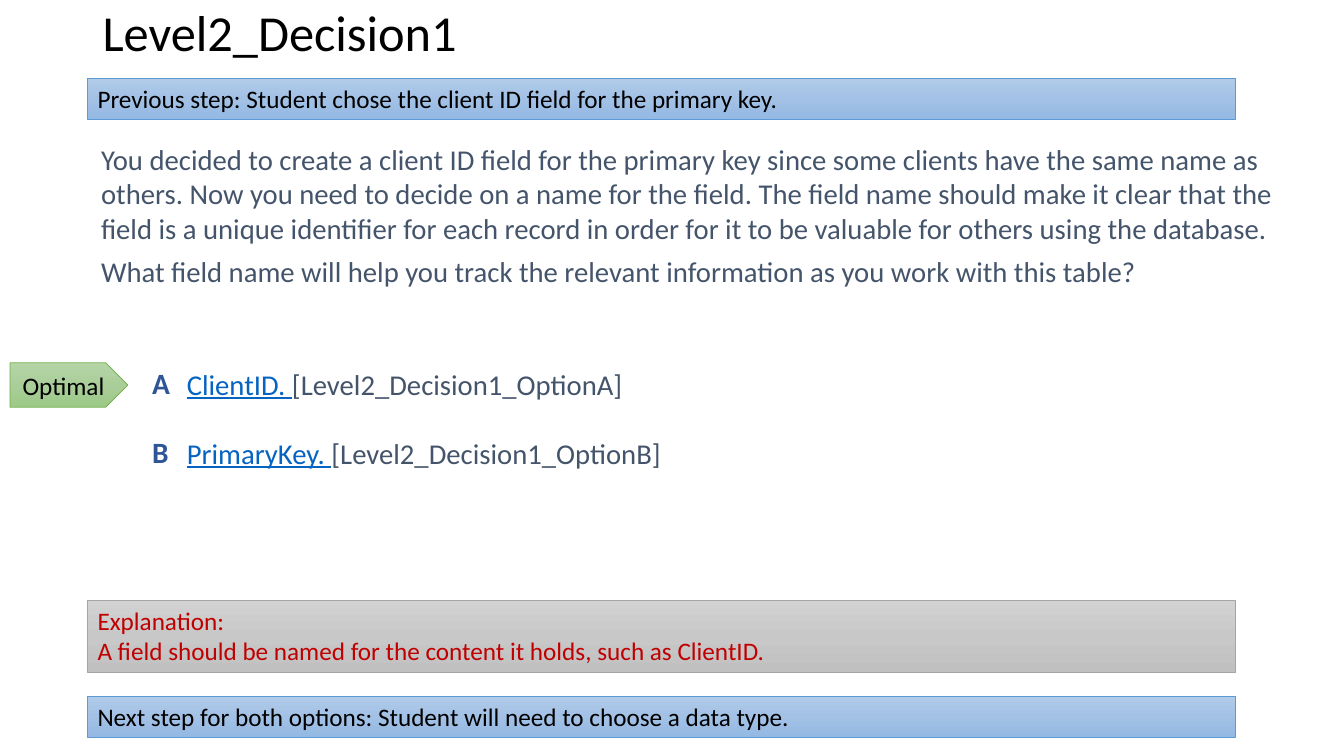
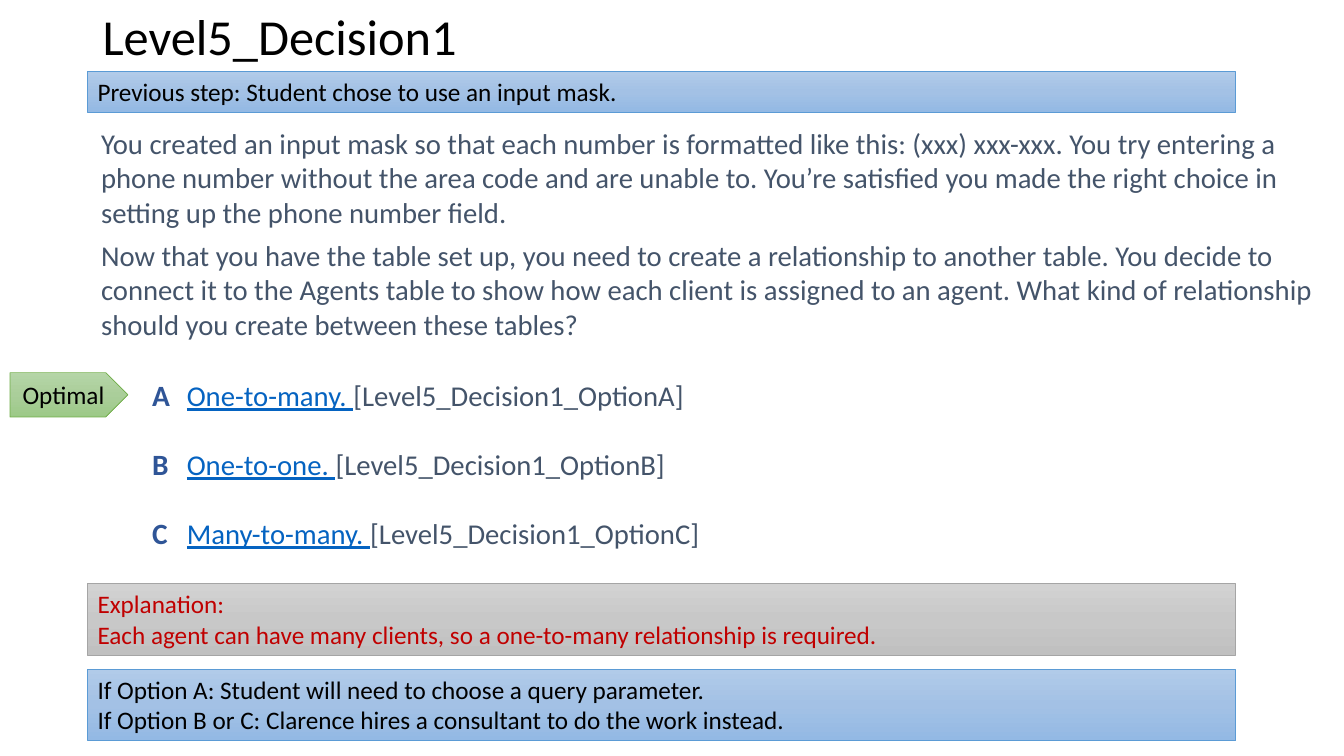
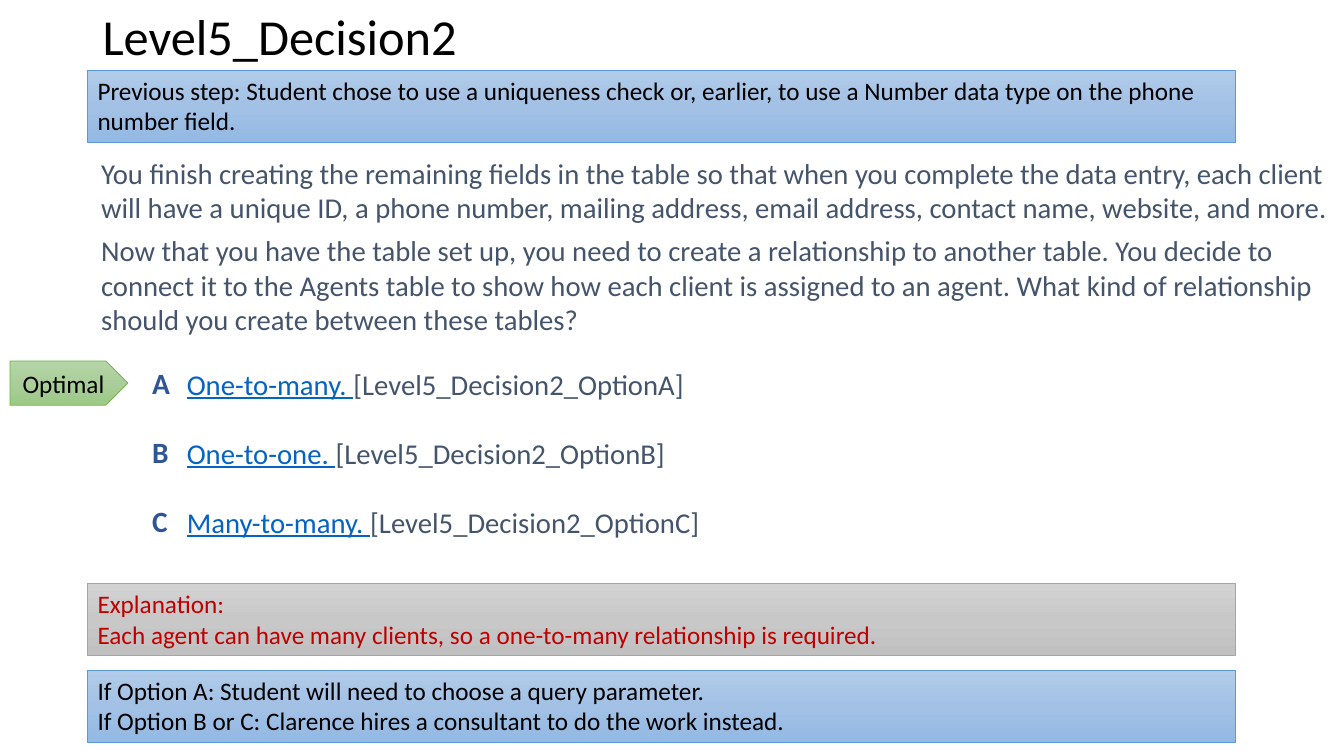
from copy import deepcopy

from pptx import Presentation
from pptx.dml.color import RGBColor
from pptx.enum.shapes import MSO_SHAPE as Shape
from pptx.enum.text import MSO_ANCHOR as Anchor, PP_ALIGN as Align
from pptx.util import Pt

# Content; "tops" holds the vertical positions that vary, in points
RELATIONSHIP_QUESTION = (
    "Now that you have the table set up, you need to create a relationship to another table. "
    "You decide to connect it to the Agents table to show how each client is assigned to an "
    "agent. What kind of relationship should you create between these tables?")
RELATIONSHIPS = ["One-to-many.", "One-to-one.", "Many-to-many."]
RELATIONSHIP_EXPLANATION = (
    "Each agent can have many clients, so a one-to-many relationship is required.")
RELATIONSHIP_NEXT = [
    "If Option A: Student will need to choose a query parameter.",
    "If Option B or C: Clarence hires a consultant to do the work instead."]

DECISIONS = [
    {"title": "Level2_Decision1",
     "previous": "Previous step: Student chose the client ID field for the primary key.",
     "previous_lines": 1,
     "story": [
         "You decided to create a client ID field for the primary key since some clients have "
         "the same name as others. Now you need to decide on a name for the field. The field "
         "name should make it clear that the field is a unique identifier for each record in "
         "order for it to be valuable for others using the database.",
         "What field name will help you track the relevant information as you work with this "
         "table?"],
     "options": ["ClientID.", "PrimaryKey."],
     "explanation": "A field should be named for the content it holds, such as ClientID.",
     "next": ["Next step for both options: Student will need to choose a data type."],
     "tops": {"title": 0, "previous": 56.2, "story": 96.5, "options": 257,
              "optimal": 259.2, "explanation": 429, "next": 497.5}},
    {"title": "Level5_Decision1",
     "previous": "Previous step: Student chose to use an input mask.",
     "previous_lines": 1,
     "story": [
         "You created an input mask so that each number is formatted like this: (xxx) xxx-xxx. "
         "You try entering a phone number without the area code and are unable to. You’re "
         "satisfied you made the right choice in setting up the phone number field.",
         RELATIONSHIP_QUESTION],
     "options": RELATIONSHIPS,
     "explanation": RELATIONSHIP_EXPLANATION,
     "next": RELATIONSHIP_NEXT,
     "tops": {"title": 3, "previous": 51.2, "story": 85, "options": 265.3,
              "optimal": 266.2, "explanation": 417, "next": 478}},
    {"title": "Level5_Decision2",
     "previous": "Previous step: Student chose to use a uniqueness check or, earlier, to use a "
                 "Number data type on the phone number field.",
     "previous_lines": 2,
     "story": [
         "You finish creating the remaining fields in the table so that when you complete the "
         "data entry, each client will have a unique ID, a phone number, mailing address, email "
         "address, contact name, website, and more.",
         RELATIONSHIP_QUESTION],
     "options": RELATIONSHIPS,
     "explanation": RELATIONSHIP_EXPLANATION,
     "next": RELATIONSHIP_NEXT,
     "tops": {"title": 3, "previous": 50.4, "story": 106.5, "options": 257,
              "optimal": 257.8, "explanation": 417, "next": 478.8}},
]

# Shared style
FONT = "Calibri"
BLACK = RGBColor(0x00, 0x00, 0x00)
SLATE = RGBColor(0x44, 0x54, 0x6A)
LINK_BLUE = RGBColor(0x05, 0x63, 0xC1)
LETTER_BLUE = RGBColor(0x2F, 0x55, 0x97)
RED = RGBColor(0xC0, 0x00, 0x00)
# Each palette: three gradient colours from top to bottom, then the outline
GRAY = [RGBColor(0xD2, 0xD2, 0xD2), RGBColor(0xC8, 0xC8, 0xC8),
        RGBColor(0xC0, 0xC0, 0xC0), RGBColor(0xA5, 0xA5, 0xA5)]
GREEN = [RGBColor(0xB5, 0xD5, 0xA7), RGBColor(0xAA, 0xCE, 0x9A),
         RGBColor(0x9C, 0xC9, 0x87), RGBColor(0x70, 0xAD, 0x47)]
BLUE = [RGBColor(0xB1, 0xCB, 0xE9), RGBColor(0xA3, 0xC1, 0xE5),
        RGBColor(0x93, 0xB9, 0xE4), RGBColor(0x5B, 0x9B, 0xD5)]

SLIDE_W, SLIDE_H = 960, 540
BAND_LEFT, BAND_W = 62.6, 820
BAND_LINE, BAND_PADDING = 22, 7.2
NARROW_INSETS = (7.2, 3.6)
WIDE_INSETS = (9.6, 4.8)
STORY_SIZE, BAND_SIZE, LETTER_SIZE, TITLE_SIZE = 20.5, 18, 21, 36
OPTION_PITCH = 49.3
OPTION_GAP = OPTION_PITCH / 2


def add_run(paragraph, text, size, color, bold=False, underline=False):
    run = paragraph.add_run()
    run.text = text
    font = run.font
    font.name, font.size, font.bold, font.underline = FONT, Pt(size), bold, underline
    font.color.rgb = color


def paragraphs(frame, count):
    """Return count paragraphs of a text frame, the first being the existing one."""
    return [frame.paragraphs[0]] + [frame.add_paragraph() for _ in range(count - 1)]


def set_frame(frame, insets, anchor=Anchor.TOP):
    frame.word_wrap = True
    frame.vertical_anchor = anchor
    frame.margin_left = frame.margin_right = Pt(insets[0])
    frame.margin_top = frame.margin_bottom = Pt(insets[1])
    return frame


def add_text(slide, left, top, width, height, insets=WIDE_INSETS, anchor=Anchor.TOP):
    box = slide.shapes.add_textbox(Pt(left), Pt(top), Pt(width), Pt(height))
    return set_frame(box.text_frame, insets, anchor)


def add_panel(slide, kind, left, top, width, height, palette, lines, color,
              anchor=Anchor.TOP, align=Align.LEFT):
    panel = slide.shapes.add_shape(kind, Pt(left), Pt(top), Pt(width), Pt(height))
    panel.shadow.inherit = False
    fill = panel.fill
    fill.gradient()
    fill.gradient_angle = 270
    # Add a middle stop to the two default ones
    first_stop = panel.element.spPr.xpath("a:gradFill/a:gsLst/a:gs")[0]
    middle_stop = deepcopy(first_stop)
    middle_stop.set("pos", "50000")
    first_stop.addnext(middle_stop)
    *gradient, outline = palette
    for stop, shade in zip(fill.gradient_stops, gradient):
        stop.color.rgb = shade
    panel.line.color.rgb = outline
    panel.line.width = Pt(0.5)

    frame = set_frame(panel.text_frame, NARROW_INSETS, anchor)
    for paragraph, line in zip(paragraphs(frame, len(lines)), lines):
        paragraph.alignment = align
        add_run(paragraph, line, BAND_SIZE, color)


def add_band(slide, top, palette, lines, color=BLACK, line_count=None):
    height = BAND_PADDING + BAND_LINE * (line_count or len(lines))
    add_panel(slide, Shape.RECTANGLE, BAND_LEFT, top, BAND_W, height, palette, lines, color)


def add_options(slide, title, options, top):
    frame = add_text(slide, 123.8, top, 500, OPTION_PITCH * len(options))
    for i, (paragraph, option) in enumerate(zip(paragraphs(frame, len(options)), options)):
        letter = "ABC"[i]
        if i:
            paragraph.space_before = Pt(OPTION_GAP)
        add_run(paragraph, option + " ", STORY_SIZE, LINK_BLUE, underline=True)
        add_run(paragraph, f"[{title}_Option{letter}]", STORY_SIZE, SLATE)
        label = add_text(slide, 99, top - 0.7 + i * OPTION_PITCH, 50, 32)
        add_run(label.paragraphs[0], letter, LETTER_SIZE, LETTER_BLUE, bold=True)


def add_decision(slide, decision):
    tops = decision["tops"]

    # Title
    title = add_text(slide, 66.2, tops["title"], 828, 50.4, NARROW_INSETS, Anchor.MIDDLE)
    title.paragraphs[0].line_spacing = 0.9
    add_run(title.paragraphs[0], decision["title"], TITLE_SIZE, BLACK)

    # Story and question
    story = decision["story"]
    frame = add_text(slide, BAND_LEFT, tops["story"], SLIDE_W - BAND_LEFT, 150)
    for paragraph, text in zip(paragraphs(frame, len(story)), story):
        paragraph.space_after = Pt(6)
        add_run(paragraph, text, STORY_SIZE, SLATE)

    # Options and the marker of the best one
    add_options(slide, decision["title"], decision["options"], tops["options"])
    add_panel(slide, Shape.PENTAGON, 7.2, tops["optimal"], 84.2, 31.7, GREEN,
              ["Optimal"], BLACK, Anchor.MIDDLE, Align.CENTER)

    # Bands
    add_band(slide, tops["previous"], BLUE, [decision["previous"]],
             line_count=decision["previous_lines"])
    add_band(slide, tops["explanation"], GRAY, ["Explanation:", decision["explanation"]], RED)
    add_band(slide, tops["next"], BLUE, decision["next"])


def main():
    deck = Presentation()
    deck.slide_width, deck.slide_height = Pt(SLIDE_W), Pt(SLIDE_H)
    for decision in DECISIONS:
        add_decision(deck.slides.add_slide(deck.slide_layouts[6]), decision)
    deck.save("out.pptx")


if __name__ == "__main__":
    main()
